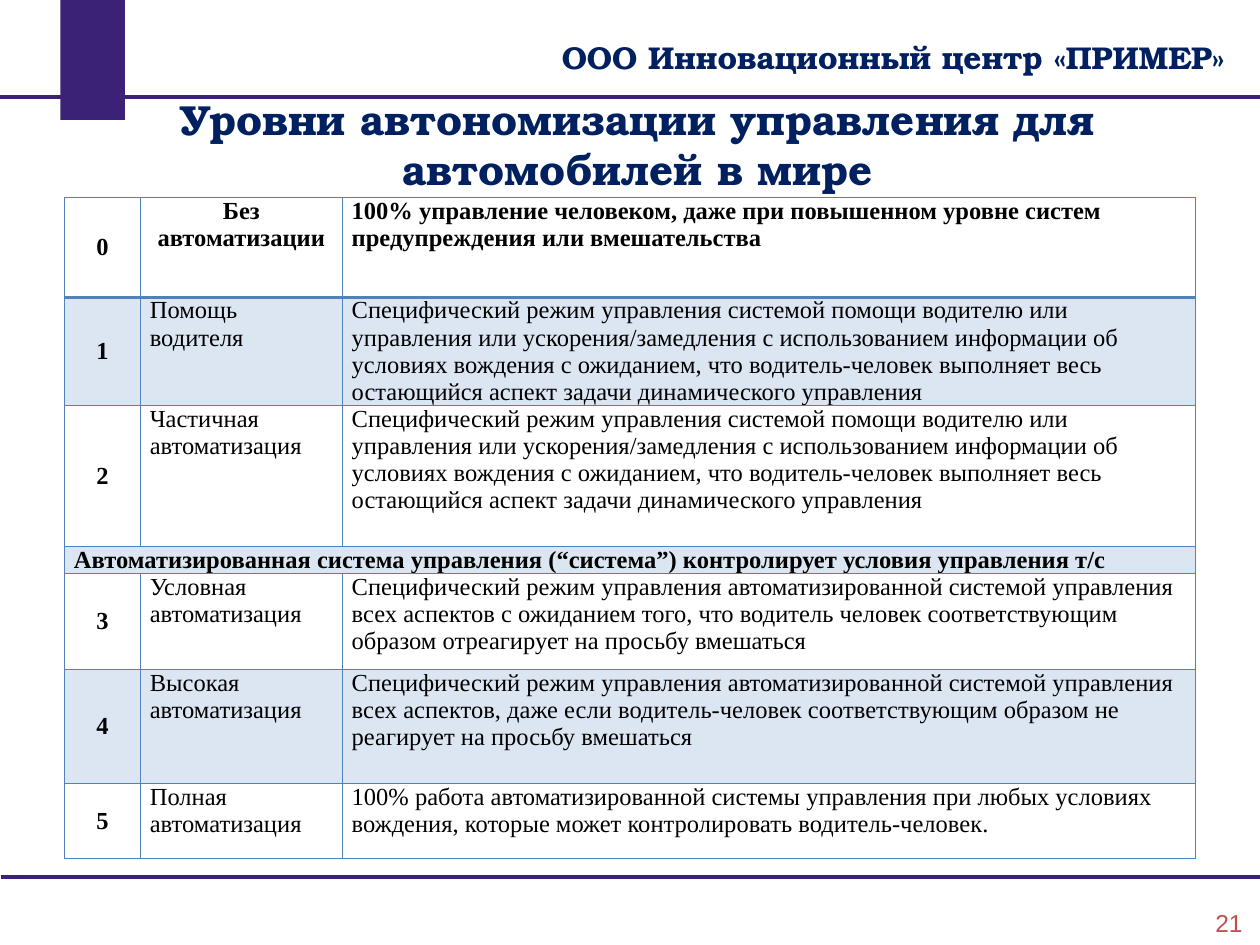
from lxml.etree import SubElement
from pptx import Presentation
from pptx.dml.color import RGBColor
from pptx.enum.shapes import MSO_CONNECTOR as Connector, MSO_SHAPE as Shape
from pptx.enum.text import MSO_ANCHOR as Anchor, MSO_AUTO_SIZE as AutoSize, PP_ALIGN as Align
from pptx.oxml.ns import qn
from pptx.util import Cm, Pt

PURPLE, NAVY, RED, BLACK = "3C2277", "002060", "C0504D", "000000"
BORDER, BAND = "4F81BD", "DCE6F2"
SERIF, HEADING = "Times New Roman", "TeX Gyre Bonum"

DRIVER_ASSIST = (
    "Специфический режим управления системой помощи водителю или управления или "
    "ускорения/замедления с использованием информации об условиях вождения с ожиданием, "
    "что водитель-человек выполняет весь остающийся аспект задачи динамического управления"
)
AUTOMATED = "Специфический режим управления автоматизированной системой управления всех аспектов"
LEVELS = [
    ("0", "Без автоматизации",
     "100% управление человеком, даже при повышенном уровне систем предупреждения "
     "или вмешательства"),
    ("1", "Помощь водителя", DRIVER_ASSIST),
    ("2", "Частичная автоматизация", DRIVER_ASSIST),
    ("Автоматизированная система управления (“система”) контролирует условия управления т/с",),
    ("3", "Условная автоматизация",
     AUTOMATED + " с ожиданием того, что водитель человек соответствующим образом "
     "отреагирует на просьбу вмешаться"),
    ("4", "Высокая автоматизация",
     AUTOMATED + ", даже если водитель-человек соответствующим образом не реагирует "
     "на просьбу вмешаться"),
    ("5", "Полная автоматизация",
     "100% работа автоматизированной системы управления при любых условиях вождения, "
     "которые может контролировать водитель-человек."),
]
COLUMN_WIDTHS = [1.53, 4.07, 17.2]
ROW_HEIGHTS = [2.01, 2.09, 2.84, 0.52, 1.94, 2.29, 1.52]


def color(value):
    return RGBColor.from_string(value)


def write(frame, text, size, font, ink, bold=False, align=Align.LEFT):
    frame.text = text
    para = frame.paragraphs[0]
    para.alignment = align
    for span in para.runs:
        span.font.size = Pt(size)
        span.font.name = font
        span.font.bold = bold
        span.font.color.rgb = color(ink)


def place(box, left, top, width, height):
    box.left, box.top, box.width, box.height = Cm(left), Cm(top), Cm(width), Cm(height)


def add_rule(slide, left, top):
    """Draw a full-width horizontal line."""
    rule = slide.shapes.add_connector(
        Connector.STRAIGHT, Cm(left), Cm(top), Cm(left + 25.4), Cm(top))
    rule.line.color.rgb = color(PURPLE)
    rule.line.width = Pt(2.25)
    SubElement(rule._element.spPr, qn("a:effectLst"))


def add_tab(slide):
    tab = slide.shapes.add_shape(Shape.RECTANGLE, Cm(1.22), Cm(0), Cm(1.3), Cm(2.42))
    tab.shadow.inherit = False
    tab.fill.solid()
    tab.fill.fore_color.rgb = color(PURPLE)
    tab.line.fill.background()


def add_label(slide, bounds, text, size, font, ink, bold=False, inset=0.0):
    box = slide.shapes.add_textbox(*map(Cm, bounds))
    frame = box.text_frame
    frame.word_wrap = True
    frame.margin_left = frame.margin_right = Cm(inset)
    frame.margin_top = frame.margin_bottom = Cm(0)
    frame.vertical_anchor = Anchor.MIDDLE
    write(frame, text, size, font, ink, bold, Align.RIGHT)


def set_borders(cell, bottom_width):
    properties = cell._tc.get_or_add_tcPr()
    for side, width in (("L", 1), ("R", 1), ("T", 1), ("B", bottom_width)):
        line = SubElement(properties, qn(f"a:ln{side}"), w=str(Pt(width)))
        fill = SubElement(line, qn("a:solidFill"))
        SubElement(fill, qn("a:srgbClr"), val=BORDER)


def style_cell(cell, banded, bottom_width):
    set_borders(cell, bottom_width)
    cell.margin_left = cell.margin_right = Cm(0.19)
    cell.margin_top = cell.margin_bottom = Cm(0)
    if banded:
        cell.fill.solid()
        cell.fill.fore_color.rgb = color(BAND)
    else:
        cell.fill.background()


def add_levels_table(slide):
    frame = slide.shapes.add_table(
        len(LEVELS), len(COLUMN_WIDTHS), Cm(1.3), Cm(3.98),
        Cm(sum(COLUMN_WIDTHS)), Cm(sum(ROW_HEIGHTS)))
    table = frame.table
    table.first_row = table.horz_banding = False
    for column, width in zip(table.columns, COLUMN_WIDTHS):
        column.width = Cm(width)
    for index, (row, height, texts) in enumerate(zip(table.rows, ROW_HEIGHTS, LEVELS)):
        row.height = Cm(height)
        for cell in row.cells:
            style_cell(cell, index % 2 == 1, 2 if index == 0 else 1)
        is_section = len(texts) == 1
        if is_section:
            table.cell(index, 0).merge(table.cell(index, len(COLUMN_WIDTHS) - 1))
        for position, text in enumerate(texts):
            cell = table.cell(index, position)
            is_number = position == 0 and not is_section
            centred = is_number or (index == 0 and position == 1)
            cell.vertical_anchor = Anchor.MIDDLE if position == 0 else Anchor.TOP
            write(cell.text_frame, text, 14, SERIF, BLACK,
                  bold=position == 0 or index == 0,
                  align=Align.CENTER if centred else Align.LEFT)


def set_title(slide, text):
    title = slide.shapes.title
    place(title, 1.6, 1.75, 22.5, 2.31)
    frame = title.text_frame
    frame.word_wrap = True
    frame.auto_size = AutoSize.NONE
    frame.vertical_anchor = Anchor.TOP
    write(frame, text, 24, HEADING, NAVY, True, Align.CENTER)


def main():
    deck = Presentation()
    deck.slide_width, deck.slide_height = Cm(25.4), Cm(19.05)
    slide = deck.slides.add_slide(deck.slide_layouts[5])
    add_rule(slide, 0, 1.95)
    add_tab(slide)
    add_rule(slide, 0.03, 17.68)
    add_levels_table(slide)
    add_label(slide, (19.38, 18.14, 5.92, 0.91), "21", 14, "Arial", RED, inset=0.25)
    add_label(slide, (2.9, 0.76, 21.79, 0.76),
              "ООО Инновационный центр «ПРИМЕР»", 18, HEADING, NAVY, bold=True)
    set_title(slide, "Уровни автономизации управления для автомобилей в мире")
    deck.save("out.pptx")


if __name__ == "__main__":
    main()
